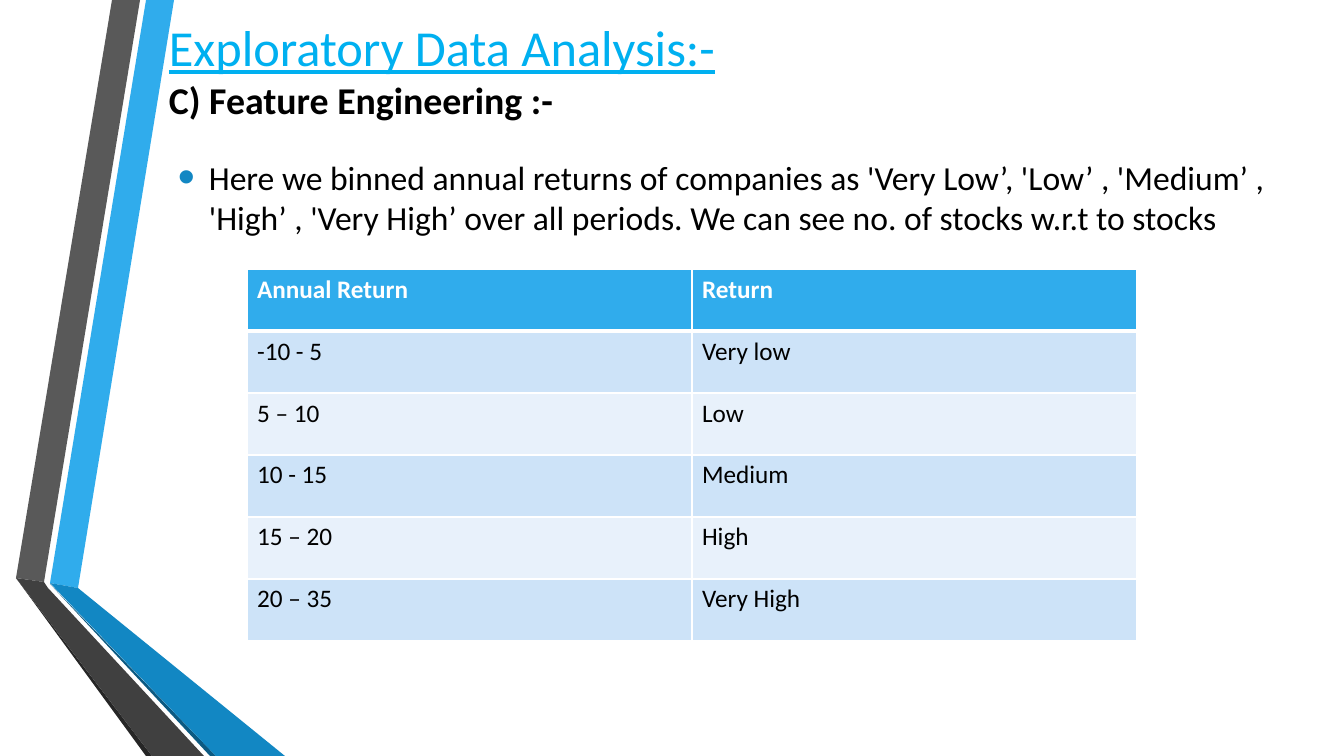
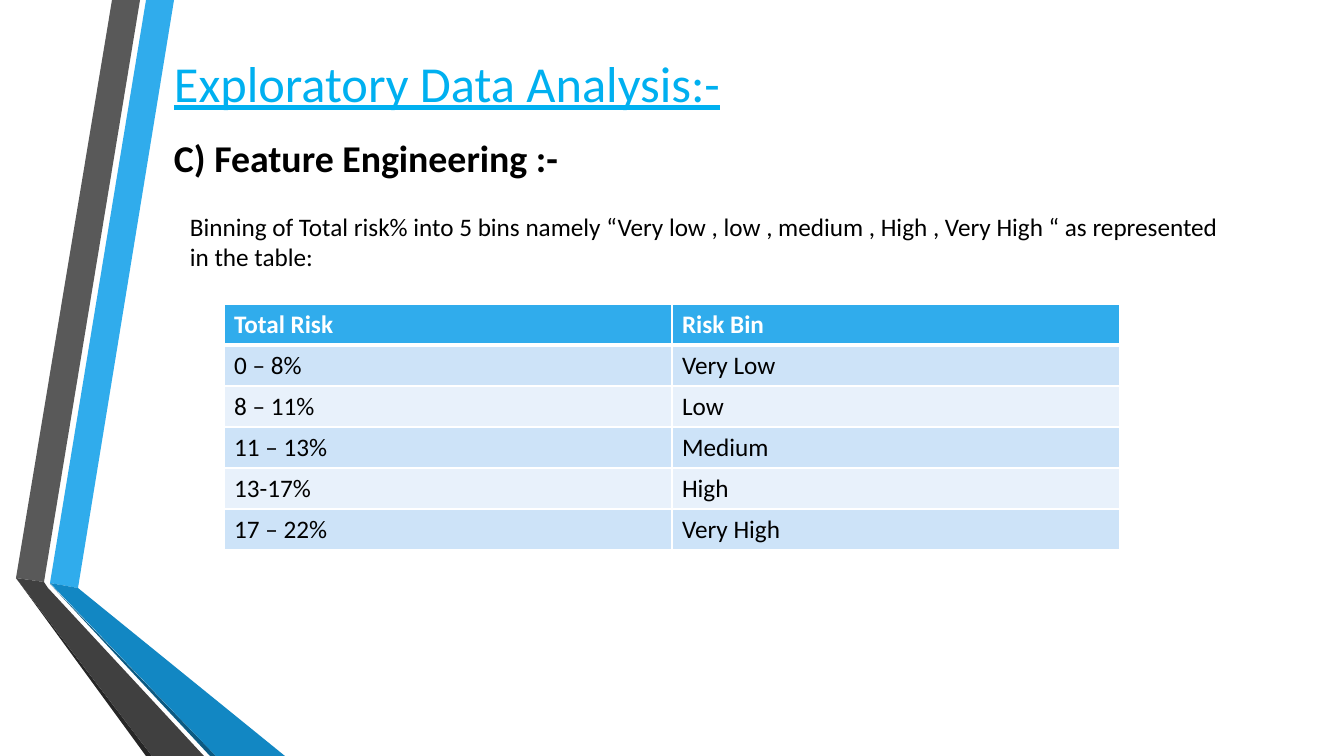
from lxml import etree
from pptx import Presentation
from pptx.dml.color import RGBColor
from pptx.enum.text import MSO_ANCHOR
from pptx.oxml.ns import qn
from pptx.util import Emu, Pt

MIDDLE, TOP = MSO_ANCHOR.MIDDLE, MSO_ANCHOR.TOP
EMU_PER_PX = 914400 / 100.8
SLIDE_SIZE = (1344, 756)
FONT = "Calibri"
BLACK, WHITE = "000000", "FFFFFF"
TITLE_BLUE, HEADER_BLUE, BULLET_BLUE = "00B0F0", "30ACEC", "1287C3"
BAND_FILLS = ("CDE3F8", "E8F1FB")

RIBBONS = [
    (HEADER_BLUE, [(50, 583), (78, 588), (174, 0), (146, 0)]),
    ("595959", [(140, 0), (112, 0), (16, 578), (44, 582)]),
    ("262626", [(16, 578), (146, 756), (152, 756)]),
    ("0C5A82", [(50, 584), (210, 756), (216, 756)]),
    (BULLET_BLUE, [(50, 583), (216, 756), (285, 756), (78, 588)]),
    ("404040", [(204, 756), (48, 588), (44, 582), (16, 578), (152, 756)]),
]

TITLE = "Exploratory Data Analysis:-"
SUBTITLE = "C) Feature Engineering :-"

SLIDES = [
    {
        "title_box": (159, 7, 1105, 125),
        "title_spacing": 1.0,
        "intro": "Here we binned annual returns of companies as 'Very Low’, 'Low’ , 'Medium’ , "
                 "'High’ , 'Very High’ over all periods. We can see no. of stocks w.r.t to stocks",
        "intro_box": (168, 152, 1150, 150),
        "intro_size": 24,
        "bulleted": True,
        "table_at": (247, 269),
        "cell_size": (445, 62),
        "rows": [
            ("Annual Return", "Return"),
            ("-10 - 5", "Very low"),
            ("5 – 10", "Low"),
            ("10 - 15", "Medium"),
            ("15 – 20", "High"),
            ("20 – 35", "Very High"),
        ],
    },
    {
        "title_box": (164, 44, 1134, 114),
        "title_spacing": 1.5,
        "intro": "Binning of Total risk% into 5 bins namely “Very low , low , medium , High , "
                 "Very High “ as represented in the table:",
        "intro_box": (180, 206, 1063, 72),
        "intro_size": 18,
        "bulleted": False,
        "table_at": (224, 304),
        "cell_size": (448, 41),
        "rows": [
            ("Total Risk", "Risk Bin"),
            ("0 – 8%", "Very Low"),
            ("8 – 11%", "Low"),
            ("11 – 13%", "Medium"),
            ("13-17%", "High"),
            ("17 – 22%", "Very High"),
        ],
    },
]


def px(length):
    return Emu(round(length * EMU_PER_PX))


def color(hex_value):
    return RGBColor.from_string(hex_value)


def set_font(font, size, hex_value, bold=False, underline=False):
    font.name, font.size = FONT, Pt(size)
    font.bold, font.underline = bold, underline
    font.color.rgb = color(hex_value)


def add_ribbons(slide):
    for fill, corners in RIBBONS:
        builder = slide.shapes.build_freeform(*corners[0], scale=EMU_PER_PX)
        builder.add_line_segments(corners[1:], close=True)
        ribbon = builder.convert_to_shape()
        ribbon.shadow.inherit = False
        ribbon.fill.solid()
        ribbon.fill.fore_color.rgb = color(fill)
        ribbon.line.fill.background()


def add_paragraph_box(slide, box, anchor):
    frame = slide.shapes.add_textbox(*map(px, box)).text_frame
    frame.word_wrap = True
    frame.vertical_anchor = anchor
    return frame.paragraphs[0]


def add_title(slide, box, spacing):
    heading = add_paragraph_box(slide, box, MIDDLE)
    heading.line_spacing = spacing
    title = heading.add_run()
    title.text = TITLE
    set_font(title.font, 36, TITLE_BLUE, underline=True)
    heading.add_line_break()
    subtitle = heading.add_run()
    subtitle.text = SUBTITLE
    set_font(subtitle.font, 27, BLACK, bold=True)


def add_bullet(paragraph):
    paragraph.space_before, paragraph.space_after = Pt(5), Pt(6)
    properties = paragraph._p.get_or_add_pPr()
    properties.set("marL", str(px(31)))
    properties.set("indent", str(-px(31)))
    bullet_color = etree.SubElement(properties, qn("a:buClr"))
    etree.SubElement(bullet_color, qn("a:srgbClr"), val=BULLET_BLUE)
    etree.SubElement(properties, qn("a:buSzPct"), val="145000")
    etree.SubElement(properties, qn("a:buFont"), typeface="Arial")
    etree.SubElement(properties, qn("a:buChar"), char="•")


def add_intro(slide, text, box, size, bulleted):
    intro = add_paragraph_box(slide, box, TOP)
    if bulleted:
        add_bullet(intro)
    intro.text = text
    set_font(intro.font, size, BLACK)


def set_borders(cell, top, bottom):
    properties = cell._tc.get_or_add_tcPr()
    for side, width in (("L", 1), ("R", 1), ("T", top), ("B", bottom)):
        border = etree.SubElement(properties, qn(f"a:ln{side}"), w=str(Pt(width)))
        fill = etree.SubElement(border, qn("a:solidFill"))
        etree.SubElement(fill, qn("a:srgbClr"), val=WHITE)


def add_bins(slide, rows, position, cell_size):
    left, top = position
    width, height = cell_size
    columns = len(rows[0])
    table = slide.shapes.add_table(
        len(rows), columns, px(left), px(top), px(width * columns), px(height * len(rows))
    ).table
    for row, values in enumerate(rows):
        table.rows[row].height = px(height)
        header = row == 0
        for column, value in enumerate(values):
            cell = table.cell(row, column)
            cell.text = value
            set_font(cell.text_frame.paragraphs[0].font, 18, WHITE if header else BLACK, bold=header)
            set_borders(cell, 3 if row == 1 else 1, 3 if header else 1)
            cell.fill.solid()
            cell.fill.fore_color.rgb = color(HEADER_BLUE if header else BAND_FILLS[(row - 1) % 2])


def main():
    deck = Presentation()
    deck.slide_width, deck.slide_height = map(px, SLIDE_SIZE)
    blank = deck.slide_layouts[6]
    for content in SLIDES:
        slide = deck.slides.add_slide(blank)
        add_ribbons(slide)
        add_title(slide, content["title_box"], content["title_spacing"])
        add_bins(slide, content["rows"], content["table_at"], content["cell_size"])
        add_intro(slide, content["intro"], content["intro_box"],
                  content["intro_size"], content["bulleted"])
    deck.save("out.pptx")


if __name__ == "__main__":
    main()
